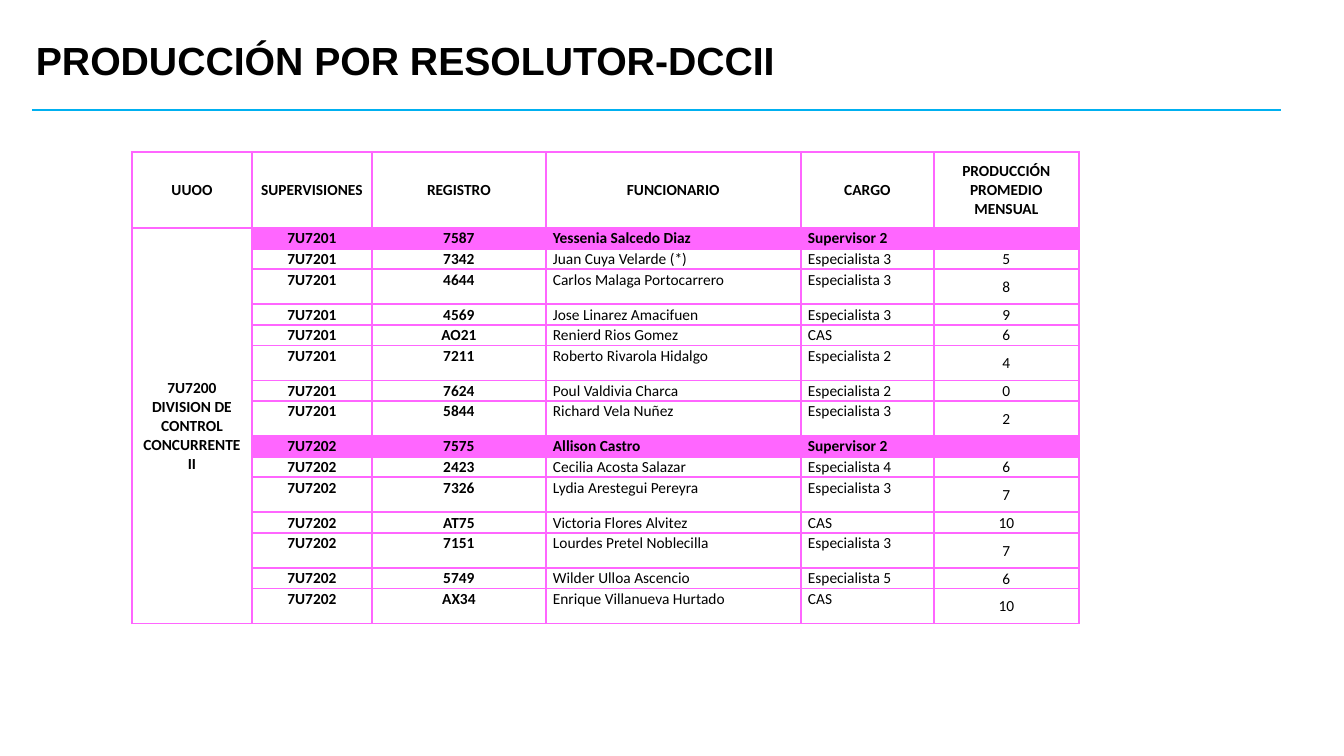
from lxml.etree import SubElement
from pptx import Presentation
from pptx.dml.color import RGBColor
from pptx.enum.shapes import MSO_CONNECTOR
from pptx.enum.text import MSO_ANCHOR as Anchor, PP_ALIGN as Align
from pptx.oxml.ns import qn
from pptx.util import Emu, Pt

# Content
TITLE = "PRODUCCIÓN POR RESOLUTOR-DCCII"
HEADERS = ["UUOO", "SUPERVISIONES", "REGISTRO", "FUNCIONARIO", "CARGO",
           "PRODUCCIÓN PROMEDIO MENSUAL"]
DIVISION = "7U7200 DIVISION DE CONTROL CONCURRENTE II"
STAFF = [
    ("7U7201", "7587", "Yessenia Salcedo Diaz", "Supervisor 2", ""),
    ("7U7201", "7342", "Juan Cuya Velarde (*)", "Especialista 3", "5"),
    ("7U7201", "4644", "Carlos Malaga Portocarrero", "Especialista 3", "8"),
    ("7U7201", "4569", "Jose Linarez Amacifuen", "Especialista 3", "9"),
    ("7U7201", "AO21", "Renierd Rios Gomez", "CAS", "6"),
    ("7U7201", "7211", "Roberto Rivarola Hidalgo", "Especialista 2", "4"),
    ("7U7201", "7624", "Poul Valdivia Charca", "Especialista 2", "0"),
    ("7U7201", "5844", "Richard Vela Nuñez", "Especialista 3", "2"),
    ("7U7202", "7575", "Allison Castro", "Supervisor 2", ""),
    ("7U7202", "2423", "Cecilia Acosta Salazar", "Especialista 4", "6"),
    ("7U7202", "7326", "Lydia Arestegui Pereyra", "Especialista 3", "7"),
    ("7U7202", "AT75", "Victoria Flores Alvitez", "CAS", "10"),
    ("7U7202", "7151", "Lourdes Pretel Noblecilla", "Especialista 3", "7"),
    ("7U7202", "5749", "Wilder Ulloa Ascencio", "Especialista 5", "6"),
    ("7U7202", "AX34", "Enrique Villanueva Hurtado", "CAS", "10"),
]
TALL_RECORDS = {"4644", "7211", "5844", "7326", "7151", "AX34"}

BLACK = RGBColor(0x00, 0x00, 0x00)
BLUE = RGBColor(0x00, 0xB0, 0xF0)
PINK = RGBColor(0xFF, 0x66, 0xFF)

# Layout in px
PAGE_WIDTH, PAGE_HEIGHT = 1344, 756
TITLE_BOX = (26, 27, 1159, 71)
RULE_LEFT, RULE_RIGHT, RULE_TOP = 32, 1281, 110
TABLE_LEFT, TABLE_TOP, TABLE_HEIGHT = 132, 152, 472
COLUMN_WIDTHS = [120, 120, 174, 255, 133, 145]
HEADER_HEIGHT, TALL_HEIGHT = 76, 35
SHORT_HEIGHT = ((TABLE_HEIGHT - HEADER_HEIGHT - TALL_HEIGHT * len(TALL_RECORDS))
                / (len(STAFF) - len(TALL_RECORDS)))
CELL_SIZE = Pt(11)


def px(length):
    return Emu(round(length * 12192000 / PAGE_WIDTH))


def add_span(para, text, font, size, bold):
    span = para.add_run()
    span.text = text
    span.font.name = font
    span.font.size = size
    span.font.bold = bold
    span.font.color.rgb = BLACK


def add_borders(cell):
    properties = cell._tc.get_or_add_tcPr()
    for position, side in enumerate(("a:lnL", "a:lnR", "a:lnT", "a:lnB")):
        border = SubElement(properties, qn(side), w=str(Pt(1.5)))
        fill = SubElement(border, qn("a:solidFill"))
        SubElement(fill, qn("a:srgbClr"), val=str(PINK))
        properties.remove(border)
        properties.insert(position, border)


def style_cell(cell, text, bold, align, anchor, filled):
    cell.margin_left = cell.margin_right = px(7)
    cell.margin_top, cell.margin_bottom = px(1), 0
    cell.vertical_anchor = anchor
    if filled:
        cell.fill.solid()
        cell.fill.fore_color.rgb = PINK
    else:
        cell.fill.background()
    add_borders(cell)
    para = cell.text_frame.paragraphs[0]
    para.alignment = align
    if text:
        add_span(para, text, "Calibri", CELL_SIZE, bold)
    else:  # keeps an empty cell from stretching its row
        SubElement(para._p, qn("a:endParaRPr"), sz=str(round(CELL_SIZE.pt * 100)))


deck = Presentation()
deck.slide_width, deck.slide_height = px(PAGE_WIDTH), px(PAGE_HEIGHT)
page = deck.slides.add_slide(deck.slide_layouts[6])

# Rule under the title
rule = page.shapes.add_connector(MSO_CONNECTOR.STRAIGHT, px(RULE_LEFT), px(RULE_TOP),
                                 px(RULE_RIGHT), px(RULE_TOP))
rule.line.color.rgb = BLUE
rule.line.width = Pt(1.5)
SubElement(rule._element.spPr, qn("a:effectLst"))

# Title
box = page.shapes.add_textbox(*map(px, TITLE_BOX))
box.text_frame.word_wrap = True
box.text_frame.vertical_anchor = Anchor.MIDDLE
title_para = box.text_frame.paragraphs[0]
title_para.line_spacing = 0.9
add_span(title_para, TITLE, "Arial", Pt(28), True)

# Table frame
table = page.shapes.add_table(len(STAFF) + 1, len(HEADERS), px(TABLE_LEFT), px(TABLE_TOP),
                              px(sum(COLUMN_WIDTHS)), px(TABLE_HEIGHT)).table
table.first_row = table.horz_banding = False
for column, width in zip(table.columns, COLUMN_WIDTHS):
    column.width = px(width)
table.rows[0].height = px(HEADER_HEIGHT)

# Header cells
for column, header in enumerate(HEADERS):
    style_cell(table.cell(0, column), header, True, Align.CENTER, Anchor.MIDDLE, False)

# Division cell and staff rows
table.cell(1, 0).merge(table.cell(len(STAFF), 0))
for row, record in enumerate(STAFF, 1):
    tall = record[1] in TALL_RECORDS
    table.rows[row].height = px(TALL_HEIGHT if tall else SHORT_HEIGHT)
    style_cell(table.cell(row, 0), DIVISION if row == 1 else "", True,
               Align.CENTER, Anchor.MIDDLE, False)
    supervisor = record[3].startswith("Supervisor")
    for column, text in enumerate(record, 1):
        style_cell(table.cell(row, column), text, supervisor or column < 3,
                   Align.LEFT if column in (3, 4) else Align.CENTER,
                   Anchor.MIDDLE if column == 5 else Anchor.TOP, supervisor)

deck.save("out.pptx")
